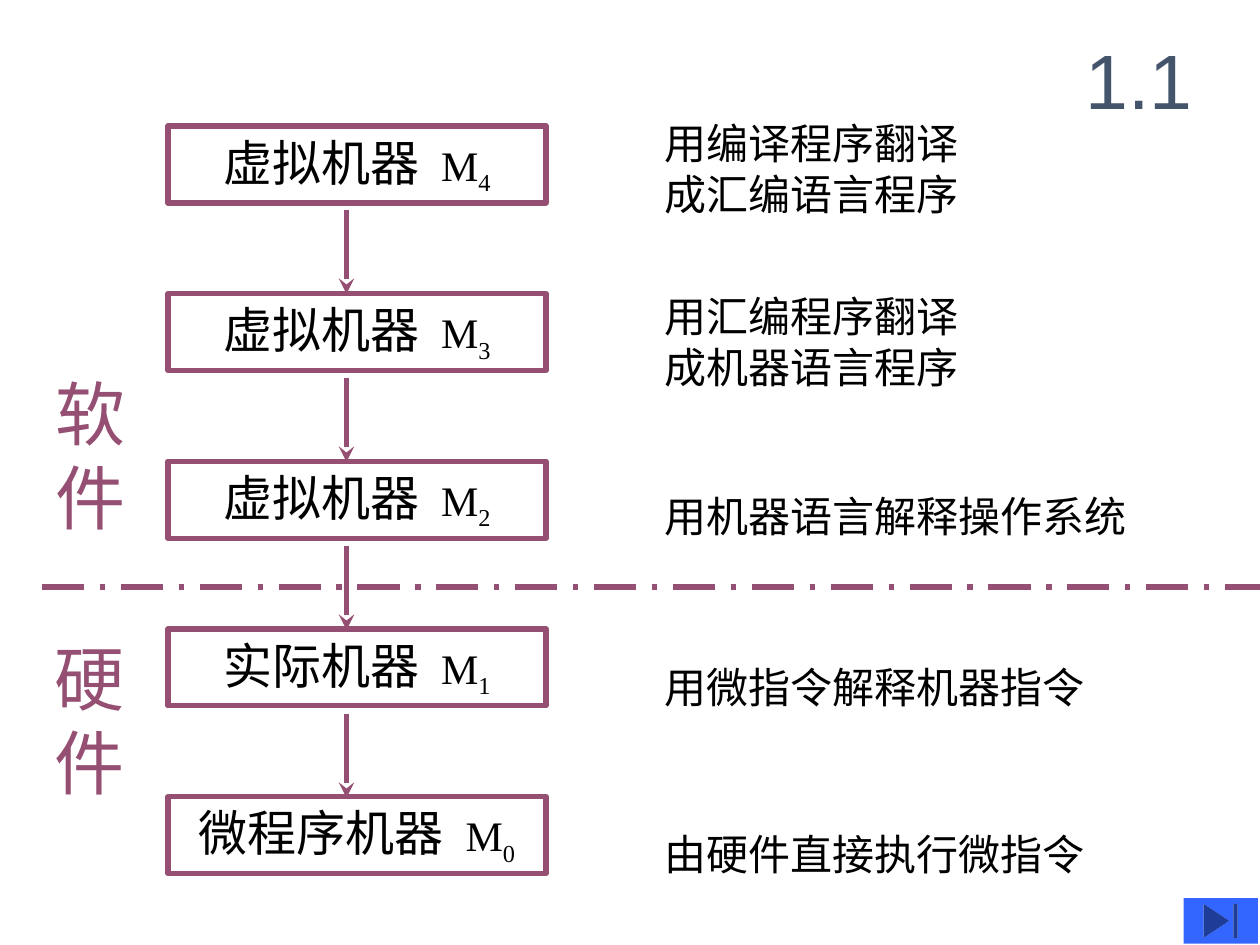
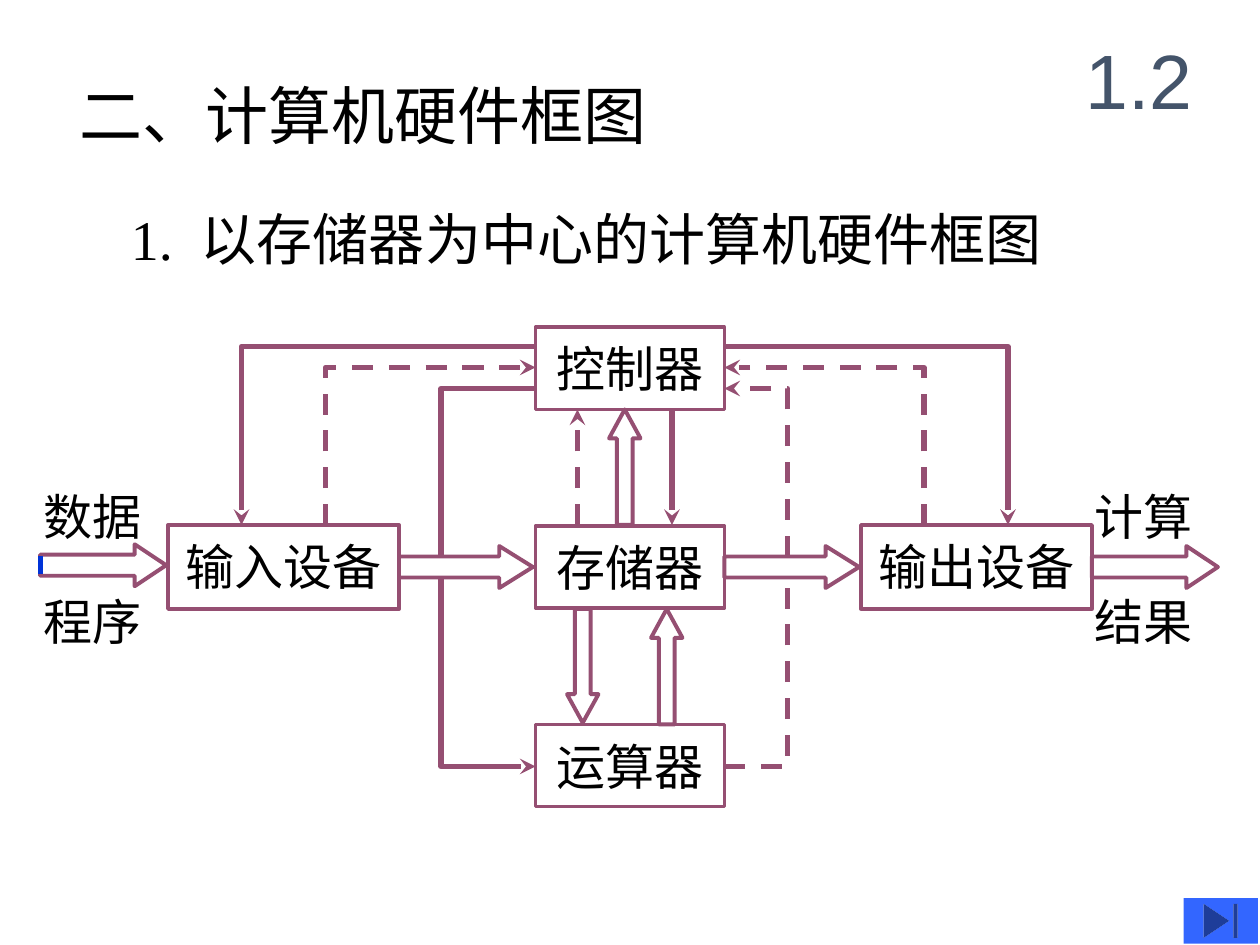
from lxml.etree import SubElement
from pptx import Presentation
from pptx.dml.color import RGBColor
from pptx.enum.dml import MSO_LINE
from pptx.enum.shapes import MSO_CONNECTOR, MSO_SHAPE
from pptx.enum.text import MSO_ANCHOR, PP_ALIGN
from pptx.oxml.ns import qn
from pptx.util import Pt

COLORS = {"ink": "000000", "plum": "954F72", "slate": "44546A",
          "button": "3366FF", "tick": "0033D8"}
CJK, SERIF, SANS = "Noto Sans CJK SC", "Times New Roman", "Arial"
INSET = 7.2

# ---- Slide 1: machine levels, top to bottom ----
LEVELS = [("虚拟机器", "4"), ("虚拟机器", "3"), ("虚拟机器", "2"),
          ("实际机器", "1"), ("微程序机器", "0")]
LEVEL_NOTES = [
    (61, ["用编译程序翻译", "成汇编语言程序"]),
    (160, ["用汇编程序翻译", "成机器语言程序"]),
    (274.3, ["用机器语言解释操作系统"]),
    (371.5, ["用微指令解释机器指令"]),
    (467.3, ["由硬件直接执行微指令"]),
]
LAYERS = [(24.5, 203.8, ["软", "件"]), (23.8, 355, ["硬", "件"])]

# ---- Slide 2: hardware block diagram ----
HEADING = "二、计算机硬件框图"
CENTRE_UNITS = ["控制器", "存储器", "运算器"]
SIDE_UNITS = [("输入设备", 96, 2.25), ("输出设备", 492, 2)]
FLOW_LABELS = [("数据", 18, 271.4), ("程序", 18, 331.2),
               ("计算", 618.5, 271.4), ("结果", 618.5, 331.2)]
# kind, left, top, width, height, head length
DATA_FLOWS = [
    (MSO_SHAPE.RIGHT_ARROW, 23, 311, 72, 24, 18),
    (MSO_SHAPE.RIGHT_ARROW, 228, 312, 76.5, 24, 19.2),
    (MSO_SHAPE.RIGHT_ARROW, 414, 312, 77, 24, 19.2),
    (MSO_SHAPE.RIGHT_ARROW, 624, 312, 72, 24, 18),
    (MSO_SHAPE.UP_ARROW, 348, 234, 18, 66, 16.5),
    (MSO_SHAPE.UP_ARROW, 372, 348, 18, 66, 16.5),
    (MSO_SHAPE.DOWN_ARROW, 324, 348, 18, 65, 16.3),
]
# corner points, dashed, arrowhead
SIGNALS = [
    ([(252, 318), (252, 222), (306, 222)], False, False),
    ([(252, 330), (252, 438), (306, 438)], False, True),
    ([(414, 438), (450, 438), (450, 330)], True, False),
    ([(450, 318), (450, 222), (414, 222)], True, True),
    ([(186, 300), (186, 210), (306, 210)], True, True),
    ([(306, 198), (138, 198), (138, 300)], False, True),
    ([(528, 300), (528, 210), (414, 210)], True, True),
    ([(414, 198), (576, 198), (576, 300)], False, True),
    ([(330, 300), (330, 234)], True, True),
    ([(384, 234), (384, 300)], False, True),
]


def rgb(name):
    return RGBColor.from_string(COLORS[name])


def set_all(target, values):
    for key, value in values.items():
        setattr(target, key, value)


def add_run(paragraph, text, size, font=CJK, color="ink", **attributes):
    """Add a run; attributes go to its run properties (spc, baseline)."""
    run = paragraph.add_run()
    run.text = text
    set_all(run.font, {"size": Pt(size), "name": font, "bold": False})
    run.font.color.rgb = rgb(color)
    properties = run.font._element
    SubElement(properties, qn("a:ea"), typeface=SANS if font == SANS else CJK)
    for key, value in attributes.items():
        properties.set(key, value)


def fill_frame(frame, size, paragraphs, align=PP_ALIGN.LEFT):
    """Write paragraphs, each a list of (text, size, font, color, extras)."""
    set_all(frame, {
        "word_wrap": True, "vertical_anchor": MSO_ANCHOR.TOP,
        "margin_left": Pt(INSET), "margin_right": Pt(INSET),
        "margin_top": Pt(3.6 + 0.11 * size), "margin_bottom": Pt(0)})
    for index, runs in enumerate(paragraphs):
        paragraph = frame.add_paragraph() if index else frame.paragraphs[0]
        set_all(paragraph, {"alignment": align, "line_spacing": Pt(1.2 * size)})
        for text, run_size, font, color, extras in runs:
            add_run(paragraph, text, run_size, font, color, **extras)


def add_text(slide, left, top, lines, size, color="ink"):
    width = max(map(len, lines)) * size + 2 * INSET + 12
    height = len(lines) * 1.2 * size + INSET
    box = slide.shapes.add_textbox(Pt(left), Pt(top), Pt(width), Pt(height))
    fill_frame(box.text_frame, size,
               [[(line, size, CJK, color, {})] for line in lines])
    return box


def style_line(item, width, color="plum", dash=None, arrow=False):
    item.line.color.rgb = rgb(color)
    item.line.width = Pt(width)
    if dash:
        item.line.dash_style = dash
    if arrow:
        SubElement(item.line._get_or_add_ln(), qn("a:tailEnd"), type="stealth")


def add_line(slide, start, end, width=3, **style):
    line = slide.shapes.add_connector(MSO_CONNECTOR.STRAIGHT,
                                      *map(Pt, (*start, *end)))
    style_line(line, width, **style)
    SubElement(line._element.spPr, qn("a:effectLst"))


def add_outline(slide, kind, bounds, width):
    outline = slide.shapes.add_shape(kind, *map(Pt, bounds))
    outline.shadow.inherit = False
    outline.fill.background()
    style_line(outline, width)
    return outline


def add_unit(slide, bounds, width, runs):
    unit = add_outline(slide, MSO_SHAPE.RECTANGLE, bounds, width)
    fill_frame(unit.text_frame, 28, [runs], PP_ALIGN.CENTER)


def add_signal(slide, corners, dashed, arrow):
    dash = MSO_LINE.DASH if dashed else None
    if len(corners) == 2:
        add_line(slide, *corners, dash=dash, arrow=arrow)
        return
    points = [(Pt(x), Pt(y)) for x, y in corners]
    builder = slide.shapes.build_freeform(*points[0])
    builder.add_line_segments(points[1:], close=False)
    signal = builder.convert_to_shape()
    signal.shadow.inherit = False
    signal.fill.background()
    style_line(signal, 3, dash=dash, arrow=arrow)


def start_slide(deck, section):
    """Slide with the section number and the button to the last slide."""
    slide = deck.slides.add_slide(deck.slide_layouts[5])
    title = slide.shapes.title
    set_all(title, {"left": Pt(606), "top": Pt(12), "width": Pt(90),
                    "height": Pt(66)})
    title.text_frame.vertical_anchor = MSO_ANCHOR.MIDDLE
    paragraph = title.text_frame.paragraphs[0]
    paragraph.alignment = PP_ALIGN.CENTER
    add_run(paragraph, section, 44, SANS, "slate")

    button = slide.shapes.add_shape(MSO_SHAPE.ACTION_BUTTON_END,
                                    Pt(676.3), Pt(513.2), Pt(42.5), Pt(26))
    button.shadow.inherit = False
    button.fill.solid()
    button.fill.fore_color.rgb = rgb("button")
    button.line.fill.background()
    return slide


def build_levels(deck):
    slide = start_slide(deck, "1.1")
    for top, lines in LEVEL_NOTES:
        add_text(slide, 372.5, top, lines, 24)

    # Border between software and hardware
    add_line(slide, (24, 335.5), (720, 335.5), dash=MSO_LINE.LONG_DASH_DOT)
    for left, top, characters in LAYERS:
        add_text(slide, left, top, characters, 40, "plum")

    # Stack of machines, each with an arrow to the next
    for index, (machine, level) in enumerate(LEVELS):
        add_unit(slide, (96, 72 + 95.8 * index, 216, 44), 3, [
            (machine, 28, CJK, "ink", {}),
            (" ", 28, CJK, "ink", {"spc": "630"}),
            ("M", 24, SERIF, "ink", {}),
            (level, 24, SERIF, "ink", {"baseline": "-25000"})])
        if index < len(LEVELS) - 1:
            top = 120 + 96 * index
            add_line(slide, (198, top), (198, top + 48), arrow=True)


def build_hardware(deck):
    slide = start_slide(deck, "1.2")
    add_text(slide, 38.2, 36, [HEADING], 36)
    topic = slide.shapes.add_textbox(Pt(67.7), Pt(109.5), Pt(600), Pt(46))
    fill_frame(topic.text_frame, 32, [[
        ("1.", 32, SERIF, "ink", {}),
        (" ", 32, SERIF, "ink", {"spc": "800"}),
        ("以存储器为中心的计算机硬件框图", 32, SERIF, "ink", {})]])

    # Units
    for index, unit in enumerate(CENTRE_UNITS):
        add_unit(slide, (306, 187 + 113.5 * index, 108, 47), 2,
                 [(unit, 28, CJK, "ink", {})])
    for unit, left, width in SIDE_UNITS:
        add_unit(slide, (left, 300, 132, 48), width,
                 [(unit, 28, CJK, "ink", {})])

    # Data flows, control and feedback signals
    for kind, left, top, width, height, head in DATA_FLOWS:
        flow = add_outline(slide, kind, (left, top, width, height), 2.25)
        flow.adjustments[1] = head / min(width, height)
    for signal in SIGNALS:
        add_signal(slide, *signal)
    add_line(slide, (23, 318), (23, 328), color="tick")
    for label, left, top in FLOW_LABELS:
        add_text(slide, left, top, [label], 28)


def main():
    deck = Presentation()
    set_all(deck, {"slide_width": Pt(720), "slide_height": Pt(540)})
    build_levels(deck)
    build_hardware(deck)
    deck.save("out.pptx")


if __name__ == "__main__":
    main()
